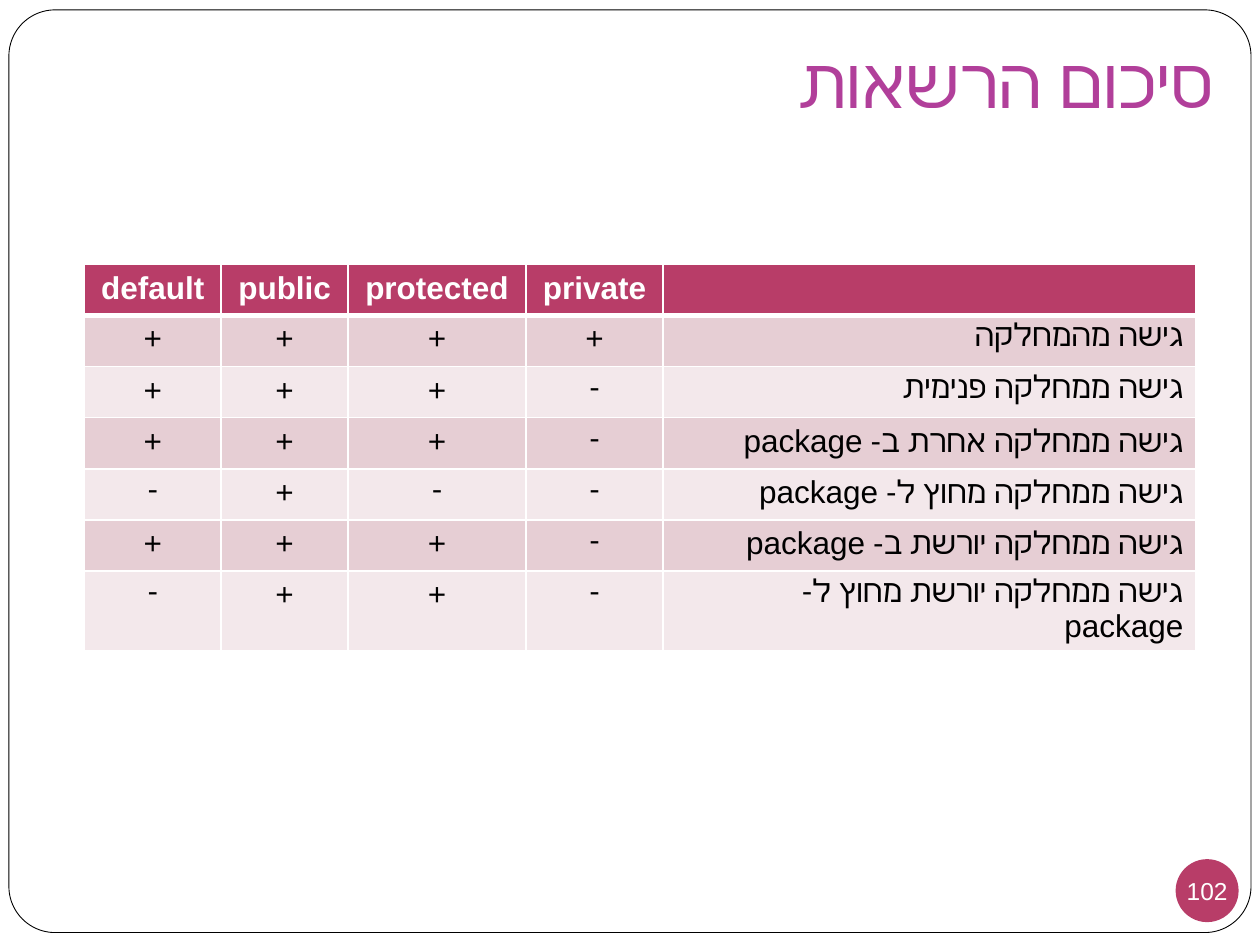
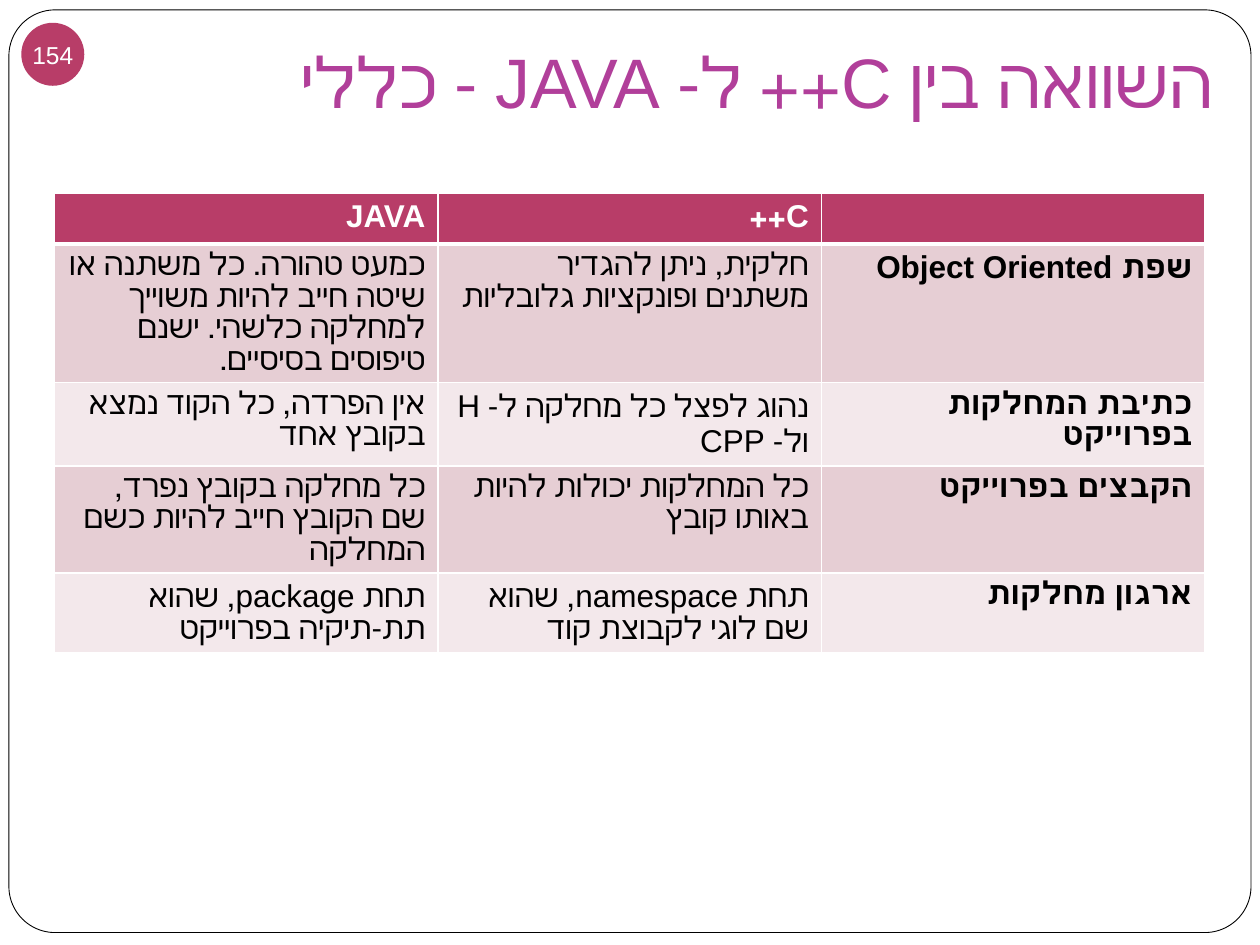
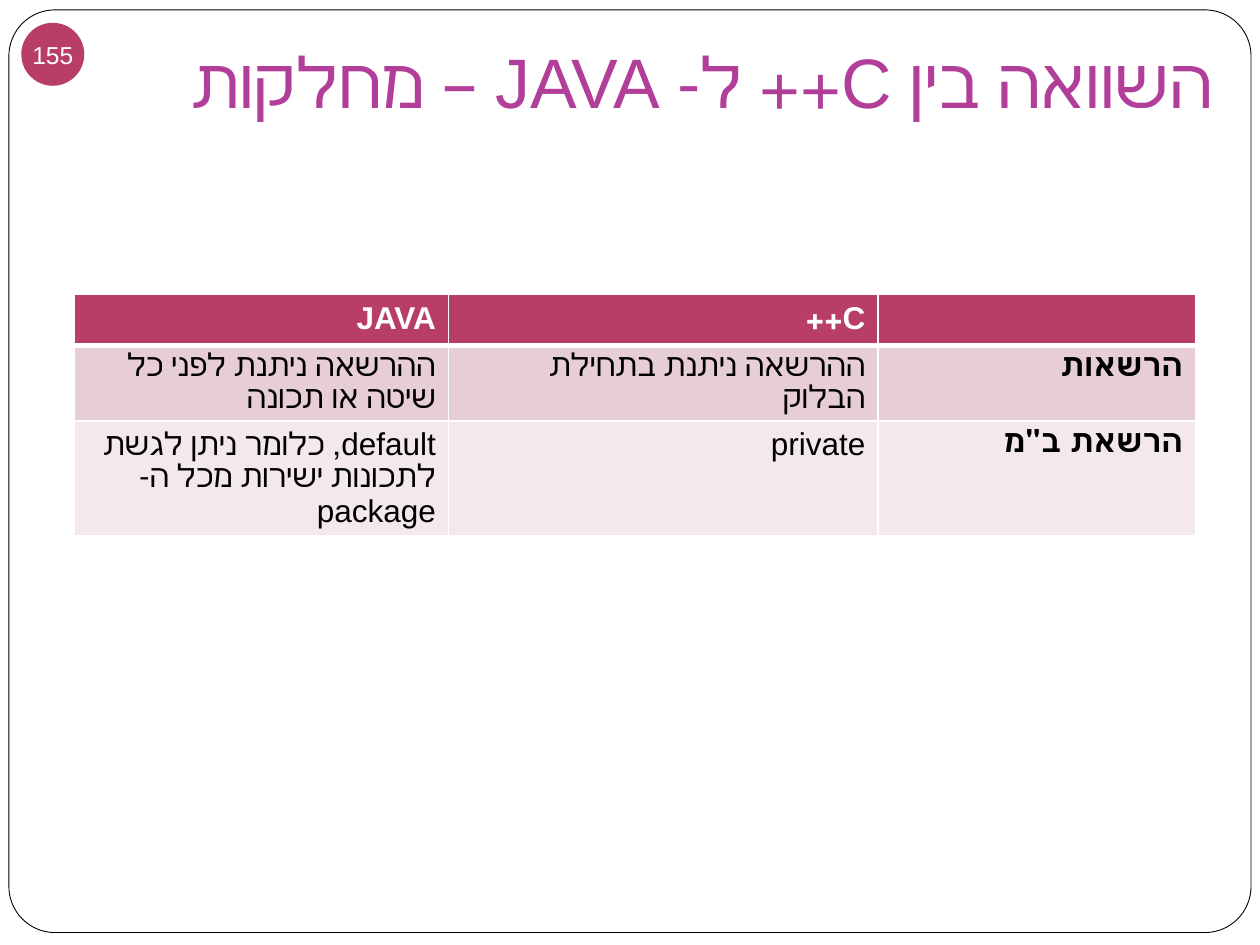
import pptx
import pptx.util
import pptx.dml.color
import pptx.enum.shapes
import pptx.enum.text
import pptx.oxml
from pptx.oxml.ns import nsdecls

Cm = pptx.util.Cm
Pt = pptx.util.Pt
RGB = pptx.dml.color.RGBColor.from_string
ALIGN = pptx.enum.text.PP_ALIGN
ANCHOR = pptx.enum.text.MSO_ANCHOR
SHAPE = pptx.enum.shapes.MSO_SHAPE

COLORS = {
    "white": "FFFFFF",
    "black": "000000",
    "title": "B13F9A",
    "accent": "B83D68",
    "band_dark": "E6CED4",
    "band_light": "F3E8EB",
}
FONT = "Arial"
BADGE_SIZE = 1.27
ROW_HEIGHT = 1.03

SLIDES = [
    {
        "title": "סיכום הרשאות",
        "number": "102",
        "badge": (23.7, 17.32),
        "table": (1.7, 5.33),
        "columns": [2.76, 2.56, 3.58, 2.77, 10.74],
        "marks": True,
        "rows": [
            ["default", "public", "protected", "private", ""],
            ["+", "+", "+", "+", "גישה מהמחלקה"],
            ["+", "+", "+", "-", "גישה ממחלקה פנימית"],
            ["+", "+", "+", "-", "גישה ממחלקה אחרת ב- package"],
            ["-", "+", "-", "-", "גישה ממחלקה מחוץ ל- package"],
            ["+", "+", "+", "-", "גישה ממחלקה יורשת ב- package"],
            ["-", "+", "+", "-", "גישה ממחלקה יורשת מחוץ ל- package"],
        ],
    },
    {
        "title": "השוואה בין C++ ל- JAVA - כללי",
        "number": "154",
        "badge": (0.43, 0.46),
        "table": (1.1, 3.89),
        "columns": [7.73] * 3,
        "marks": False,
        "rows": [
            ["JAVA", "C++", ""],
            ["כמעט טהורה. כל משתנה או שיטה חייב להיות משוייך למחלקה כלשהי. ישנם טיפוסים בסיסיים.",
             "חלקית, ניתן להגדיר משתנים ופונקציות גלובליות",
             "שפת Object Oriented"],
            ["אין הפרדה, כל הקוד נמצא בקובץ אחד",
             "נהוג לפצל כל מחלקה ל- H ול- CPP",
             "כתיבת המחלקות בפרוייקט"],
            ["כל מחלקה בקובץ נפרד, שם הקובץ חייב להיות כשם המחלקה",
             "כל המחלקות יכולות להיות באותו קובץ",
             "הקבצים בפרוייקט"],
            ["תחת package, שהוא תת-תיקיה בפרוייקט",
             "תחת namespace, שהוא שם לוגי לקבוצת קוד",
             "ארגון מחלקות"],
        ],
    },
    {
        "title": "השוואה בין C++ ל- JAVA – מחלקות",
        "number": "155",
        "badge": (0.43, 0.46),
        "table": (1.5, 5.93),
        "columns": [7.54, 8.66, 6.4],
        "marks": False,
        "rows": [
            ["JAVA", "C++", ""],
            ["ההרשאה ניתנת לפני כל שיטה או תכונה",
             "ההרשאה ניתנת בתחילת הבלוק",
             "הרשאות"],
            ["default, כלומר ניתן לגשת לתכונות ישירות מכל ה- package",
             "private",
             "הרשאת ב\"מ"],
        ],
    },
]


def write(tf, text, size=18, color="black", bold=False, align=ALIGN.RIGHT, rtl=True):
    p = tf.paragraphs[0]
    p.alignment = align
    if rtl:
        p._p.get_or_add_pPr().set("rtl", "1")
    if text:
        r = p.add_run()
        r.text = text
        r.font.name = FONT
        r.font.size = Pt(size)
        r.font.bold = bold
        r.font.color.rgb = RGB(COLORS[color])


def set_borders(cell, **widths):
    tcPr = cell._tc.get_or_add_tcPr()
    for side in "LRTB":
        width = Pt(widths.get(side, 1))
        tcPr.append(pptx.oxml.parse_xml(
            f'<a:ln{side} {nsdecls("a")} w="{width}"><a:solidFill>'
            f'<a:srgbClr val="{COLORS["white"]}"/></a:solidFill></a:ln{side}>'))


prs = pptx.Presentation()
prs.slide_width = Cm(25.4)
prs.slide_height = Cm(19.05)
layout = prs.slide_layouts[5]

for number, content in enumerate(SLIDES):
    s = prs.slides.add_slide(layout)

    if number == 0:
        frame = s.shapes.add_shape(SHAPE.ROUNDED_RECTANGLE, Cm(0.18), Cm(0.2), Cm(25.04), Cm(18.6))
        frame.adjustments[0] = 0.05
        frame.shadow.inherit = False
        frame.fill.solid()
        frame.fill.fore_color.rgb = RGB(COLORS["white"])
        frame.line.color.rgb = RGB(COLORS["black"])
        frame.line.width = Pt(0.5)
        layout.shapes.element.insert(2, frame.element)

    title = s.shapes.title
    title.left, title.top, title.width, title.height = Cm(0.5), Cm(0.76), Cm(24.2), Cm(1.96)
    tf = title.text_frame
    tf.auto_size = pptx.enum.text.MSO_AUTO_SIZE.NONE
    tf.vertical_anchor = ANCHOR.BOTTOM
    tf.margin_left = tf.margin_right = tf.margin_bottom = Cm(0.25)
    tf.margin_top = Cm(0.13)
    write(tf, content["title"], size=40, color="title")

    left, top = content["badge"]
    badge = s.shapes.add_shape(SHAPE.OVAL, Cm(left), Cm(top), Cm(BADGE_SIZE), Cm(BADGE_SIZE))
    badge.shadow.inherit = False
    badge.fill.solid()
    badge.fill.fore_color.rgb = RGB(COLORS["accent"])
    badge.line.fill.background()
    tf = badge.text_frame
    tf.word_wrap = False
    tf.vertical_anchor = ANCHOR.MIDDLE
    tf.margin_left = tf.margin_right = tf.margin_top = tf.margin_bottom = 0
    write(tf, content["number"], size=14, color="white", align=ALIGN.CENTER, rtl=False)

    rows, columns = content["rows"], content["columns"]
    left, top = content["table"]
    table = s.shapes.add_table(len(rows), len(columns), Cm(left), Cm(top),
                               Cm(sum(columns)), Cm(ROW_HEIGHT * len(rows))).table
    for column, width in zip(table.columns, columns):
        column.width = Cm(width)
    for i, row in enumerate(rows):
        table.rows[i].height = Cm(ROW_HEIGHT)
        header = i == 0
        fill = "accent" if header else "band_dark" if i % 2 else "band_light"
        for j, text in enumerate(row):
            cell = table.cell(i, j)
            label = j == len(row) - 1
            set_borders(cell, T=3 if i == 1 else 1, B=3 if header else 1)
            cell.fill.solid()
            cell.fill.fore_color.rgb = RGB(COLORS[fill])
            write(cell.text_frame, text,
                  color="white" if header else "black",
                  bold=header or (label and not content["marks"]),
                  align=ALIGN.CENTER if content["marks"] and not label else ALIGN.RIGHT)

prs.save("out.pptx")
